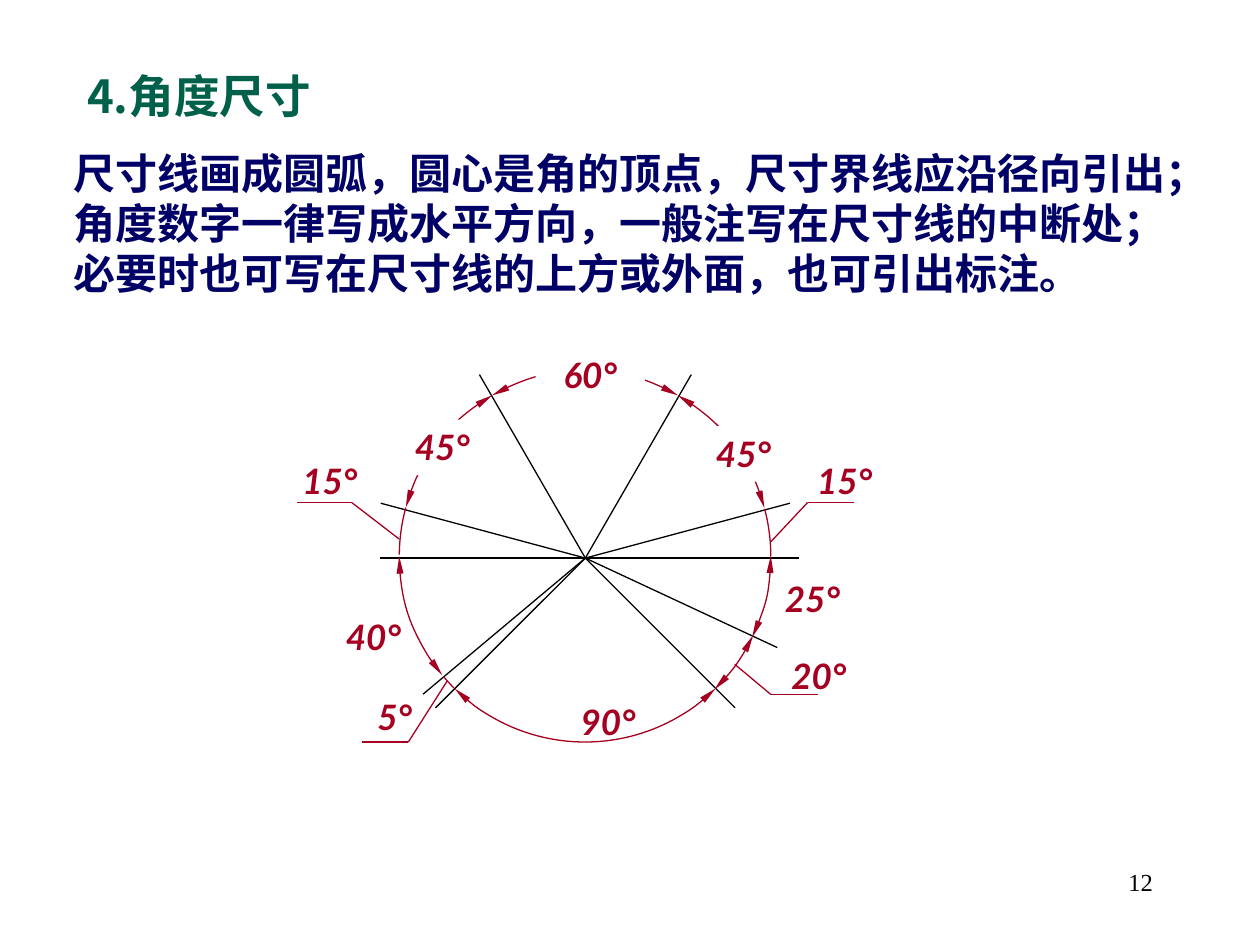
from dataclasses import dataclass
from math import cos, radians, sin
from typing import NamedTuple, Optional

from lxml import etree
from pptx import Presentation
from pptx.dml.color import RGBColor
from pptx.enum.shapes import MSO_CONNECTOR, MSO_SHAPE
from pptx.enum.text import MSO_ANCHOR, PP_ALIGN
from pptx.oxml.ns import qn
from pptx.util import Cm, Pt

ARC = MSO_SHAPE.ARC
RECT = MSO_SHAPE.RECTANGLE
STRAIGHT = MSO_CONNECTOR.STRAIGHT
LEFT, CENTER, RIGHT = PP_ALIGN.LEFT, PP_ALIGN.CENTER, PP_ALIGN.RIGHT
TOP, MIDDLE = MSO_ANCHOR.TOP, MSO_ANCHOR.MIDDLE


class Style(NamedTuple):
    font: str
    size: float
    color: RGBColor
    bold: bool = True
    italic: bool = False


@dataclass(frozen=True)
class Theme:
    ray = RGBColor(0x00, 0x00, 0x00)
    dimension = RGBColor(0xA5, 0x00, 0x21)
    paper = RGBColor(0xFF, 0xFF, 0xFF)
    line_width = 0.75
    title = Style("Noto Sans CJK SC", 26, RGBColor(0x00, 0x60, 0x49))
    body = Style("Lato", 24, RGBColor(0x00, 0x00, 0x66))
    label = Style("Lato", 20, dimension, italic=True)
    number = Style("Times New Roman", 14, ray, bold=False)


class Point(NamedTuple):
    x: float
    y: float


class Box(NamedTuple):
    left: float
    top: float
    width: float
    height: float

    def emu(self) -> tuple:
        return tuple(Cm(v) for v in self)


class Dimension(NamedTuple):
    """Arc between two angles, in degrees clockwise from the right."""
    start: float
    end: float
    arrows: bool = True


class Leader(NamedTuple):
    tip: Point
    elbow: Point
    end_x: float


class Label(NamedTuple):
    text: str
    center_x: float
    top: float
    filled: bool = False


THEME = Theme()
VERTEX = Point(11.8, 11.25)
RAY_LENGTH = 4.27
RAY_ANGLES = (-15, -60, -120, -165, 25, 45, 135, 140)
BASELINE = (7.67, 16.1)
DIMENSION_CIRCLE = Box(8.05, 7.47, 7.49, 7.49)
LABEL_WIDTH, LABEL_HEIGHT = 2.2, 1.12

DIMENSIONS = (
    Dimension(345.2, 0, arrows=False),
    Dimension(300, 344.9),
    Dimension(240, 300),
    Dimension(195.3, 240),
    Dimension(180.5, 195.2, arrows=False),
    Dimension(140.3, 180),
    Dimension(134.9, 139.8, arrows=False),
    Dimension(45.4, 134.5),
    Dimension(25.2, 45.8),
    Dimension(359.8, 25.9),
)
LEADERS = (
    Leader(Point(15.54, 10.92), Point(16.28, 10.13), 17.22),
    Leader(Point(8.05, 10.87), Point(7.09, 10.13), 5.99),
    Leader(Point(9.02, 13.72), Point(8.23, 14.96), 7.29),
    Leader(Point(14.81, 13.39), Point(15.54, 14), 16.48),
)
LABELS = (
    Label("15°", 17.03, 9.14),
    Label("20°", 16.51, 13.06),
    Label("5°", 7.96, 13.89),
    Label("15°", 6.65, 9.14),
    Label("45°", 8.92, 8.46, filled=True),
    Label("60°", 11.9, 7.01, filled=True),
    Label("45°", 14.99, 8.59, filled=True),
    Label("40°", 7.53, 12.29),
    Label("90°", 12.26, 14),
    Label("25°", 16.38, 11.51),
)
BODY = (
    "尺寸线画成圆弧，圆心是角的顶点，尺寸界线应沿径向引出；",
    "角度数字一律写成水平方向，一般注写在尺寸线的中断处；",
    "必要时也可写在尺寸线的上方或外面，也可引出标注。",
)


def write(sp, lines: tuple, style: Style, align, anchor=TOP) -> None:
    tf = sp.text_frame
    tf.word_wrap = True
    tf.vertical_anchor = anchor
    for i, line in enumerate(lines):
        p = tf.add_paragraph() if i else tf.paragraphs[0]
        p.alignment = align
        r = p.add_run()
        r.text = line
        r.font.name = style.font
        r.font.size = Pt(style.size)
        r.font.bold = style.bold
        r.font.italic = style.italic
        r.font.color.rgb = style.color
        r.font.language_id = None
        east_asian = etree.SubElement(r.font._element, qn("a:ea"))
        east_asian.set("typeface", style.font)


def add_text(shapes, box: Box, lines: tuple, style: Style, align,
             anchor=TOP, fill: Optional[RGBColor] = None) -> None:
    if fill is None:
        sp = shapes.add_textbox(*box.emu())
    else:
        sp = shapes.add_shape(RECT, *box.emu())
        sp.shadow.inherit = False
        sp.fill.solid()
        sp.fill.fore_color.rgb = fill
        sp.line.fill.background()
    write(sp, lines, style, align, anchor)


def stroke(sp, color: RGBColor) -> None:
    sp.line.color.rgb = color
    sp.line.width = Pt(THEME.line_width)


def add_line(shapes, start: Point, end: Point, color: RGBColor) -> None:
    sp = shapes.add_connector(STRAIGHT, Cm(start.x), Cm(start.y),
                              Cm(end.x), Cm(end.y))
    stroke(sp, color)
    etree.SubElement(sp.element.spPr, qn("a:effectLst"))


def add_dimension(shapes, dim: Dimension) -> None:
    sp = shapes.add_shape(ARC, *DIMENSION_CIRCLE.emu())
    sp.shadow.inherit = False
    sp.fill.background()
    stroke(sp, THEME.dimension)
    # Angles are stored in 1/60000 degree, adjustments in 1/100000.
    for i, angle in enumerate((dim.start, dim.end)):
        sp.adjustments[i] = angle * 0.6
    if dim.arrows:
        ln = sp.element.spPr.find(qn("a:ln"))
        for tag in ("a:headEnd", "a:tailEnd"):
            etree.SubElement(ln, qn(tag), type="triangle", w="sm", len="lg")


def add_diagram(shapes) -> None:
    left, right = (Point(x, VERTEX.y) for x in BASELINE)
    add_line(shapes, left, right, THEME.ray)
    for angle in map(radians, RAY_ANGLES):
        end = Point(VERTEX.x + RAY_LENGTH * cos(angle),
                    VERTEX.y + RAY_LENGTH * sin(angle))
        add_line(shapes, VERTEX, end, THEME.ray)
    for dim in DIMENSIONS:
        add_dimension(shapes, dim)
    for tip, elbow, end_x in LEADERS:
        add_line(shapes, tip, elbow, THEME.dimension)
        add_line(shapes, elbow, Point(end_x, elbow.y), THEME.dimension)
    for label in LABELS:
        box = Box(label.center_x - LABEL_WIDTH / 2, label.top,
                  LABEL_WIDTH, LABEL_HEIGHT)
        add_text(shapes, box, (label.text,), THEME.label, CENTER,
                 fill=THEME.paper if label.filled else None)


def main() -> None:
    prs = Presentation()
    prs.slide_width, prs.slide_height = Cm(25.4), Cm(19.05)
    s = prs.slides.add_slide(prs.slide_layouts[6])
    add_text(s.shapes, Box(18.21, 17.35, 5.28, 1.27), ("12",),
             THEME.number, RIGHT)
    add_text(s.shapes, Box(0.94, 1.24, 6.15, 1.37), ("4.角度尺寸",),
             THEME.title, CENTER, MIDDLE)
    add_text(s.shapes, Box(1.24, 2.84, 23.62, 3.33), BODY, THEME.body, LEFT)
    add_diagram(s.shapes.add_group_shape().shapes)
    prs.save("out.pptx")


if __name__ == "__main__":
    main()
